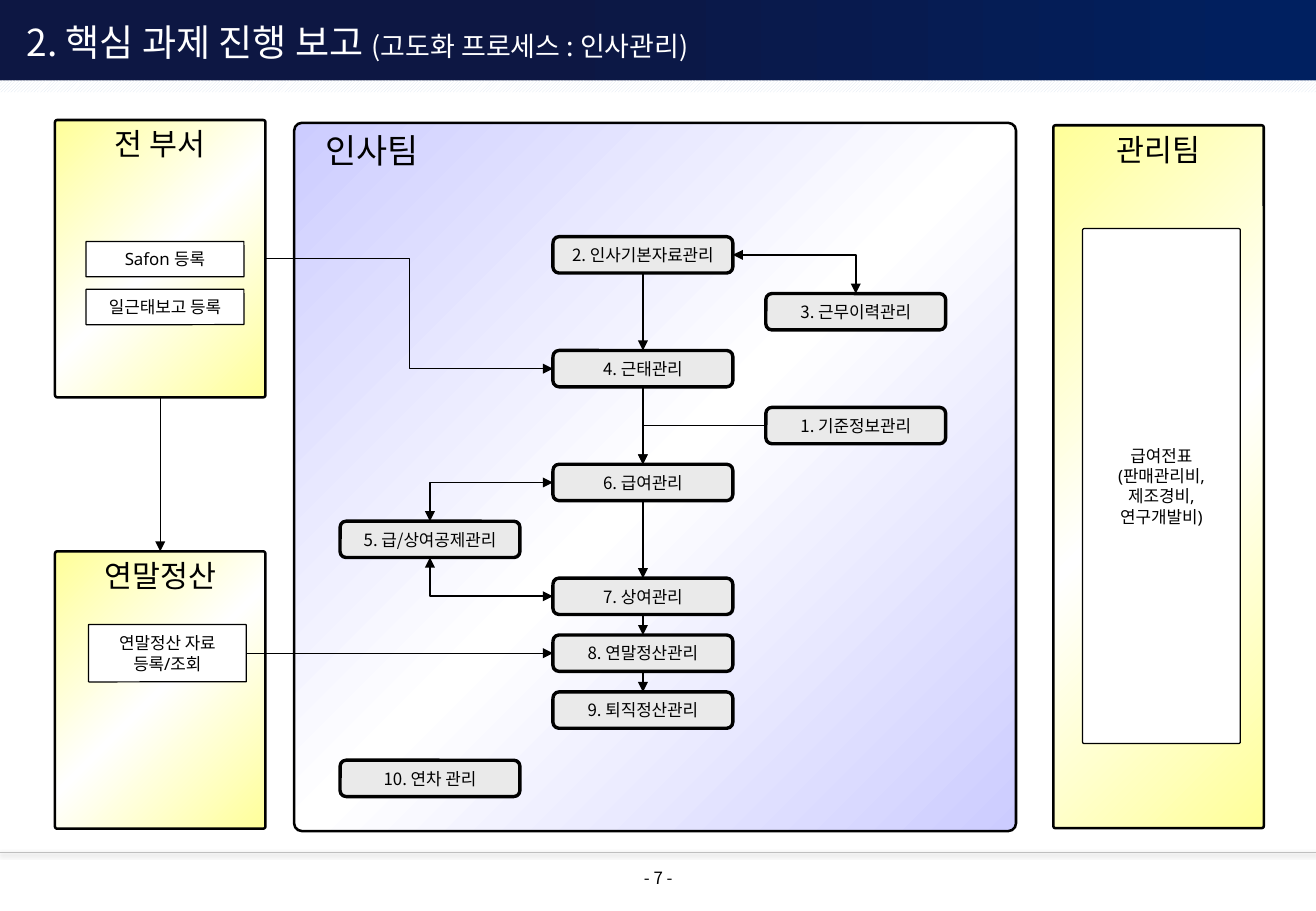
"""Build the personnel management process slide."""
from lxml import etree
from pptx import Presentation
from pptx.dml.color import RGBColor
from pptx.enum.dml import MSO_PATTERN
from pptx.enum.shapes import MSO_CONNECTOR, MSO_SHAPE
from pptx.enum.text import MSO_ANCHOR, PP_ALIGN
from pptx.oxml.ns import qn
from pptx.util import Cm, Pt

ROUND, RECT = MSO_SHAPE.ROUNDED_RECTANGLE, MSO_SHAPE.RECTANGLE
LINE, ELBOW = MSO_CONNECTOR.STRAIGHT, MSO_CONNECTOR.ELBOW
LEFT, CENTER = PP_ALIGN.LEFT, PP_ALIGN.CENTER
HIGH, MID = MSO_ANCHOR.TOP, MSO_ANCHOR.MIDDLE
DIAGONAL = MSO_PATTERN.DARK_UPWARD_DIAGONAL
TOP, WEST, BOTTOM, EAST = range(4)

WIDE, TALL = 27.51, 19.05
THEME = {
    "ink": "000000", "paper": "FFFFFF", "step": "EAEAEA", "rule": "BFBFBF",
    "stripe": "DCE6F2",
    "yellow": [(0, "FFFF99"), (50, "FFFFFF"), (100, "FFFF99")],
    "violet": [(0, "CCCCFF"), (50, "FFFFFF"), (100, "CCCCFF")],
    "navy": [(0, "002060"), (59, "0D1743")],
    "cjk": "Noto Sans CJK KR", "latin": "Noto Sans",
    "title": 22, "sub": 16, "team": 20, "head": 18, "body": 10,
}

TITLE = [("2. 핵심 과제 진행 보고 ", "title"), ("(고도화 프로세스 : 인사관리)", "sub")]
PAGE = "- 7 -"
PANELS = [
    ("전 부서", (1.15, 2.51, 4.4, 5.8), "yellow", "head", CENTER, 0),
    ("연말정산", (1.15, 11.53, 4.4, 5.8), "yellow", "head", CENTER, 0),
    ("인사팀", (6.15, 2.57, 15.09, 14.81), "violet", "team", LEFT, 0.6),
    ("관리팀", (22.02, 2.62, 4.4, 14.7), "yellow", "head", CENTER, 0),
]
TASKS = [
    ("Safon 등록", (1.8, 5.05, 3.3, 0.74)),
    ("일근태보고 등록", (1.8, 6.05, 3.3, 0.74)),
    ("연말정산 자료\n등록/조회", (1.85, 13.06, 3.3, 1.2)),
    ("급여전표\n(판매관리비,\n제조경비,\n연구개발비)", (22.63, 4.78, 3.3, 10.77)),
]
STEPS = [
    ("2. 인사기본자료관리", 1, 0), ("3. 근무이력관리", 2, 1),
    ("4. 근태관리", 1, 2), ("1. 기준정보관리", 2, 3),
    ("6. 급여관리", 1, 4), ("5. 급/상여공제관리", 0, 5),
    ("7. 상여관리", 1, 6), ("8. 연말정산관리", 1, 7),
    ("9. 퇴직정산관리", 1, 8), ("10. 연차 관리", 0, 9.2),
]
CHAIN = ["2", "4", "6", "7", "8", "9"]
LINKS = [
    ("2", EAST, "3", TOP, "bentConnector2", True, 1),
    ("7", WEST, "5", BOTTOM, "bentConnector2", True, 1),
    ("6", WEST, "5", TOP, "bentConnector2", True, 1),
    ("1", WEST, "6", TOP, "bentConnector2", False, 1),
    ("전 부서", EAST, "4", WEST, "bentConnector3", False, 0.75),
    ("연말정산 자료", EAST, "8", WEST, "line", False, 0.75),
    ("전 부서", BOTTOM, "연말정산", TOP, "line", False, 0.75),
] + [(a, BOTTOM, b, TOP, "line", False, 1) for a, b in zip(CHAIN, CHAIN[1:])]
GRID = {"left": 7.11, "top": 4.95, "dx": 4.45, "dy": 1.19, "w": 3.76, "h": 0.76}


def tint(name):
    return RGBColor.from_string(THEME[name])


def blend(shape, stops, angle):
    shape.fill.gradient()
    shape.fill.gradient_angle = angle
    ramp = shape.element.spPr.find(qn("a:gradFill")).find(qn("a:gsLst"))
    for old in list(ramp):
        ramp.remove(old)
    for pos, color in stops:
        stop = etree.SubElement(ramp, qn("a:gs"), pos=str(pos * 1000))
        etree.SubElement(stop, qn("a:srgbClr"), val=color)


def style(run, size, ink="ink", face="cjk"):
    form = {"size": Pt(THEME[size]), "name": THEME[face]}
    for name, value in form.items():
        setattr(run.font, name, value)
    run.font.color.rgb = tint(ink)
    etree.SubElement(run.font._element, qn("a:ea"), typeface=THEME["cjk"])


def write(shape, lines, align, anchor, pad, wrap=True, ink="ink", face="cjk"):
    frame = shape.text_frame
    sides = ("margin_left", "margin_top", "margin_right", "margin_bottom")
    form = dict(zip(sides, map(Cm, pad)), vertical_anchor=anchor, word_wrap=wrap)
    for name, value in form.items():
        setattr(frame, name, value)
    for i, parts in enumerate(lines):
        para = frame.add_paragraph() if i else frame.paragraphs[0]
        para.alignment = align
        for text, size in parts:
            run = para.add_run()
            run.text = text
            style(run, size, ink, face)


def block(slide, kind, area, fill=None, width=0, curve=None):
    shape = slide.shapes.add_shape(kind, *map(Cm, area))
    shape.shadow.inherit = False
    if curve is not None:
        shape.adjustments[0] = curve
    if fill:
        shape.fill.solid()
        shape.fill.fore_color.rgb = tint(fill)
    if width:
        shape.line.width = Pt(width)
        shape.line.color.rgb = tint("ink")
    else:
        shape.line.fill.background()
    return shape


def stroke(slide, kind, ends, color, width):
    line = slide.shapes.add_connector(kind, *map(Cm, ends))
    line.line.width = Pt(width)
    line.line.color.rgb = tint(color)
    return line, etree.SubElement(line.element.spPr, qn("a:effectLst"))


def frame_page(slide):
    text = slide.shapes.add_textbox(*map(Cm, (12.01, 18.14, 3.5, 0.5)))
    write(text, [[(PAGE, "body")]], CENTER, HIGH, (0, 0, 0, 0))
    glow = stroke(slide, LINE, (0, 17.83, WIDE, 17.83), "rule", 0.25)[1]
    shade = etree.SubElement(glow, qn("a:outerShdw"), blurRad=str(Pt(3)),
                             dist=str(Pt(1)), dir="5400000")
    color = etree.SubElement(shade, qn("a:srgbClr"), val=THEME["ink"])
    etree.SubElement(color, qn("a:alpha"), val="20000")
    blend(block(slide, RECT, (0, 0, WIDE, 1.7)), THEME["navy"], 180)
    band = block(slide, RECT, (0, 1.68, WIDE, 0.25))
    band.fill.patterned()
    band.fill.pattern = DIAGONAL
    band.fill.fore_color.rgb = tint("stripe")
    band.fill.back_color.rgb = tint("paper")
    head = slide.shapes.add_textbox(*map(Cm, (0.56, 0.36, 17, 1.02)))
    write(head, [TITLE], LEFT, MID, (0, 0.13, 0, 0.13), ink="paper")


def add_nodes(slide):
    nodes = {}
    for name, area, fill, size, align, inset in PANELS:
        panel = nodes[name] = block(slide, ROUND, area, width=1.5, curve=0.011)
        blend(panel, THEME[fill], 315)
        write(panel, [[(name, size)]], align, HIGH, (inset, 0.1, 0, 0.1))
    for text, area in TASKS:
        rows = text.split("\n")
        task = nodes[rows[0]] = block(slide, ROUND, area, "paper", 0.75, 0.011)
        write(task, [[(row, "body")] for row in rows], CENTER, MID,
              (0.1, 0.1, 0.1, 0.1), face="latin")
    for text, col, row in STEPS:
        area = (GRID["left"] + col * GRID["dx"], GRID["top"] + row * GRID["dy"],
                GRID["w"], GRID["h"])
        step = nodes[text.split(".")[0]] = block(slide, ROUND, area, "step", 2, 0.167)
        write(step, [[(text, "body")]], CENTER, MID, (0, 0, 0, 0), wrap=False)
    return nodes


def add_links(slide, nodes):
    for start, out, end, into, form, both, width in LINKS:
        kind = LINE if form == "line" else ELBOW
        link = stroke(slide, kind, (0, 0, 1, 1), "ink", width)[0]
        link.begin_connect(nodes[start], out)
        link.end_connect(nodes[end], into)
        props = link.element.spPr
        props.find(qn("a:prstGeom")).set("prst", form)
        for tip in ("a:headEnd", "a:tailEnd") if both else ("a:tailEnd",):
            etree.SubElement(props.find(qn("a:ln")), qn(tip), type="triangle")


def main():
    deck = Presentation()
    deck.slide_width, deck.slide_height = Cm(WIDE), Cm(TALL)
    slide = deck.slides.add_slide(deck.slide_layouts[6])
    frame_page(slide)
    add_links(slide, add_nodes(slide))
    deck.save("out.pptx")


if __name__ == "__main__":
    main()
